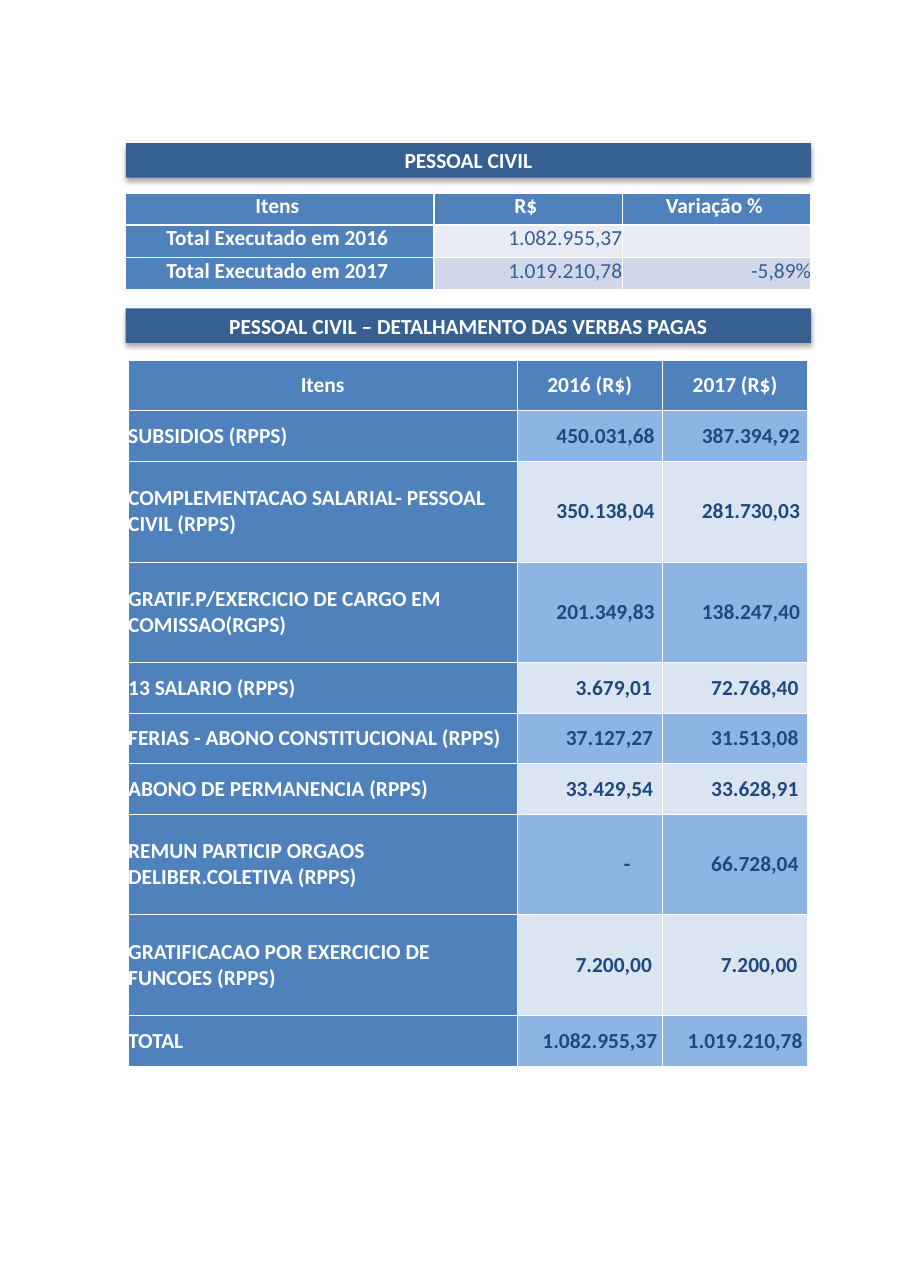
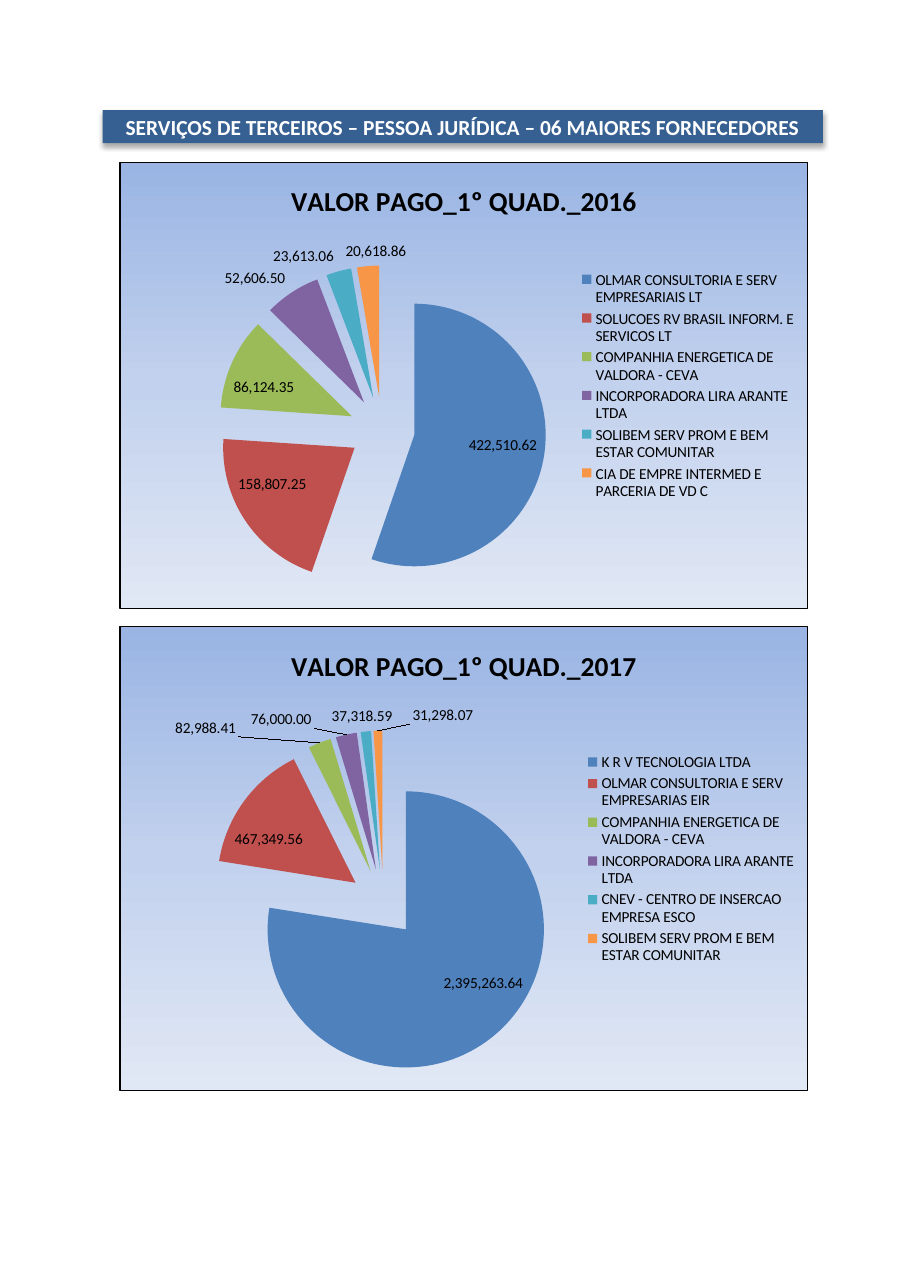
from dataclasses import dataclass
from typing import NamedTuple

from lxml.etree import SubElement
from pptx import Presentation
from pptx.chart.data import CategoryChartData
from pptx.dml.color import RGBColor
from pptx.enum.chart import XL_CHART_TYPE, XL_LABEL_POSITION, XL_LEGEND_POSITION
from pptx.enum.shapes import MSO_SHAPE
from pptx.enum.text import MSO_ANCHOR, MSO_AUTO_SIZE, PP_ALIGN
from pptx.oxml import parse_xml
from pptx.oxml.ns import nsdecls, qn
from pptx.util import Pt


@dataclass(frozen=True)
class Theme:
    font: str = "Calibri"
    text_size: float = 14
    chart_title_size: float = 18
    chart_text_size: float = 10
    white: str = "FFFFFF"
    black: str = "000000"
    band: str = "376092"
    summary_header: str = "4F81BC"
    detail_header: str = "4F81BD"
    summary_text: str = "365F91"
    detail_text: str = "1F497D"
    summary_rows: tuple = ("E9ECF4", "D0D7E8")
    detail_rows: tuple = ("8DB4E3", "DBE5F1")
    gradient: tuple = ((0, "9AB5E4"), (50, "C2D1ED"), (100, "E1E8F5"))
    slices: tuple = ("4F81BD", "C0504D", "9BBB59", "8064A2", "4BACC6", "F79646")


THEME = Theme()


class Box(NamedTuple):
    left: float
    top: float
    width: float
    height: float

    def lengths(self) -> list:
        return [Pt(side) for side in self]


class CellStyle(NamedTuple):
    fill: str
    color: str
    bold: bool
    align: PP_ALIGN
    anchor: MSO_ANCHOR
    right_margin: float = 0


class Edges(NamedTuple):
    """Border widths of one cell."""
    top: float
    bottom: float
    side: float


class Supplier(NamedTuple):
    name: str
    paid: float


class SupplierPie(NamedTuple):
    title: str
    box: Box
    suppliers: list


SUMMARY = [
    ("Itens", "R$", "Variação %"),
    ("Total Executado em 2016", "1.082.955,37", ""),
    ("Total Executado em 2017", "1.019.210,78", "-5,89%"),
]
DETAIL = [
    ("Itens", "2016 (R$)", "2017 (R$)"),
    ("SUBSIDIOS (RPPS)", "450.031,68", "387.394,92"),
    ("COMPLEMENTACAO SALARIAL- PESSOAL CIVIL (RPPS)", "350.138,04", "281.730,03"),
    ("GRATIF.P/EXERCICIO DE CARGO EM COMISSAO(RGPS)", "201.349,83", "138.247,40"),
    ("13 SALARIO (RPPS)", "3.679,01", "72.768,40"),
    ("FERIAS - ABONO CONSTITUCIONAL (RPPS)", "37.127,27", "31.513,08"),
    ("ABONO DE PERMANENCIA (RPPS)", "33.429,54", "33.628,91"),
    ("REMUN PARTICIP ORGAOS DELIBER.COLETIVA (RPPS)", "-", "66.728,04"),
    ("GRATIFICACAO POR EXERCICIO DE FUNCOES (RPPS)", "7.200,00", "7.200,00"),
    ("TOTAL", "1.082.955,37", "1.019.210,78"),
]
DETAIL_ROW = 32.95
TWO_LINE_ROWS = (2, 3, 7, 8)
# Right margin of an amount by its number of characters
AMOUNT_MARGINS = {1: 21, 8: 6.8, 9: 6, 10: 5, 12: 3.3}

PIES = [
    SupplierPie("VALOR PAGO_1º QUAD._2016", Box(78.1, 105.8, 450.3, 292.5), [
        Supplier("OLMAR CONSULTORIA E SERV EMPRESARIAIS LT", 422510.62),
        Supplier("SOLUCOES RV BRASIL INFORM. E SERVICOS LT", 158807.25),
        Supplier("COMPANHIA ENERGETICA DE VALDORA - CEVA", 86124.35),
        Supplier("INCORPORADORA LIRA ARANTE LTDA", 52606.5),
        Supplier("SOLIBEM SERV PROM E BEM ESTAR COMUNITAR", 23613.06),
        Supplier("CIA DE EMPRE INTERMED E PARCERIA DE VD C", 20618.86),
    ]),
    SupplierPie("VALOR PAGO_1º QUAD._2017", Box(78.1, 409.3, 450.3, 304), [
        Supplier("K R V TECNOLOGIA LTDA", 2395263.64),
        Supplier("OLMAR CONSULTORIA E SERV EMPRESARIAS EIR", 467349.56),
        Supplier("COMPANHIA ENERGETICA DE VALDORA - CEVA", 82988.41),
        Supplier("INCORPORADORA LIRA ARANTE LTDA", 76000),
        Supplier("CNEV - CENTRO DE INSERCAO EMPRESA ESCO", 37318.59),
        Supplier("SOLIBEM SERV PROM E BEM ESTAR COMUNITAR", 31298.07),
    ]),
]


def style_font(font, size: float, color: str, bold: bool = False) -> None:
    font.name = THEME.font
    font.size = Pt(size)
    font.bold = bold
    font.color.rgb = RGBColor.from_string(color)


def style_band(shape, text: str, box: Box) -> None:
    """Turn a title placeholder or a rectangle into a shadowed heading band."""
    shape.left, shape.top, shape.width, shape.height = box.lengths()
    shape.fill.solid()
    shape.fill.fore_color.rgb = RGBColor.from_string(THEME.band)
    shape.line.fill.background()
    shape.shadow.inherit = False
    effects = shape.element.spPr.find(qn("a:effectLst"))
    shadow = SubElement(effects, qn("a:outerShdw"), blurRad=str(Pt(3.5)),
                        dist=str(Pt(2.2)), dir="5400000", rotWithShape="0")
    shadow_color = SubElement(shadow, qn("a:srgbClr"), val=THEME.black)
    SubElement(shadow_color, qn("a:alpha"), val="32000")

    frame = shape.text_frame
    frame.text = text
    frame.word_wrap = True
    frame.auto_size = MSO_AUTO_SIZE.NONE
    frame.vertical_anchor = MSO_ANCHOR.MIDDLE
    frame.margin_top = frame.margin_bottom = 0
    heading = frame.paragraphs[0]
    heading.alignment = PP_ALIGN.CENTER
    style_font(heading.font, THEME.text_size, THEME.white, bold=True)


def add_titled_slide(deck, title: str, box: Box):
    slide = deck.slides.add_slide(deck.slide_layouts[5])
    style_band(slide.shapes.title, title, box)
    return slide


def set_borders(cell, edges: Edges) -> None:
    """Insert white borders ahead of the cell fill, as the schema requires."""
    widths = (("lnL", edges.side), ("lnR", edges.side),
              ("lnT", edges.top), ("lnB", edges.bottom))
    properties = cell._tc.get_or_add_tcPr()
    for position, (tag, width) in enumerate(widths):
        properties.insert(position, parse_xml(
            f'<a:{tag} {nsdecls("a")} w="{Pt(width)}"><a:solidFill>'
            f'<a:srgbClr val="{THEME.white}"/></a:solidFill></a:{tag}>'))


def summary_style(row: int, column: int, text: str) -> CellStyle:
    if row == 0 or column == 0:
        return CellStyle(THEME.summary_header, THEME.white, True, PP_ALIGN.CENTER,
                         MSO_ANCHOR.TOP, 3.2)
    return CellStyle(THEME.summary_rows[row - 1], THEME.summary_text, False,
                     PP_ALIGN.RIGHT, MSO_ANCHOR.TOP)


def detail_style(row: int, column: int, text: str) -> CellStyle:
    if row == 0 or column == 0:
        align = PP_ALIGN.CENTER if row == 0 else PP_ALIGN.LEFT
        return CellStyle(THEME.detail_header, THEME.white, True, align, MSO_ANCHOR.MIDDLE)
    return CellStyle(THEME.detail_rows[(row - 1) % 2], THEME.detail_text, True,
                     PP_ALIGN.RIGHT, MSO_ANCHOR.MIDDLE, AMOUNT_MARGINS[len(text)])


def summary_edges(row: int) -> Edges:
    return Edges(1.5 if row == 1 else 1, 1.5 if row == 0 else 1, 1)


def detail_edges(row: int) -> Edges:
    return Edges(0.5, 0.5, 0.5)


def add_grid(slide, left: float, top: float, rows: list, widths: list,
             heights: list, style_of, edges_of) -> None:
    box = Box(left, top, sum(widths), sum(heights))
    table = slide.shapes.add_table(len(rows), len(widths), *box.lengths()).table
    table.horz_banding = False
    for column, width in zip(table.columns, widths):
        column.width = Pt(width)
    for row, height in zip(table.rows, heights):
        row.height = Pt(height)
    for row_index, texts in enumerate(rows):
        for column_index, text in enumerate(texts):
            cell = table.cell(row_index, column_index)
            style = style_of(row_index, column_index, text)
            cell.text = text
            cell.margin_left = cell.margin_top = cell.margin_bottom = 0
            cell.margin_right = Pt(style.right_margin)
            cell.vertical_anchor = style.anchor
            cell.fill.solid()
            cell.fill.fore_color.rgb = RGBColor.from_string(style.fill)
            set_borders(cell, edges_of(row_index))
            paragraph = cell.text_frame.paragraphs[0]
            paragraph.alignment = style.align
            style_font(paragraph.font, THEME.text_size, style.color, style.bold)


def set_chart_background(chart) -> None:
    stops = "".join(f'<a:gs pos="{percent * 1000}"><a:srgbClr val="{color}"/></a:gs>'
                    for percent, color in THEME.gradient)
    background = parse_xml(
        f'<c:spPr {nsdecls("c", "a")}><a:gradFill><a:gsLst>{stops}</a:gsLst>'
        f'<a:lin ang="5400000" scaled="0"/></a:gradFill><a:ln w="{Pt(0.75)}">'
        f'<a:solidFill><a:srgbClr val="{THEME.black}"/></a:solidFill></a:ln></c:spPr>')
    chart.element.find(qn("c:chart")).addnext(background)


def add_supplier_pie(slide, pie: SupplierPie) -> None:
    data = CategoryChartData()
    data.categories = [supplier.name for supplier in pie.suppliers]
    data.add_series("Series 1", [supplier.paid for supplier in pie.suppliers])
    chart = slide.shapes.add_chart(XL_CHART_TYPE.PIE, *pie.box.lengths(), data).chart
    style_font(chart.font, THEME.chart_text_size, THEME.black)
    set_chart_background(chart)

    chart.has_title = True
    chart.chart_title.include_in_layout = False
    chart.chart_title.text_frame.text = pie.title
    style_font(chart.chart_title.text_frame.paragraphs[0].font,
               THEME.chart_title_size, THEME.black, bold=True)
    chart.has_legend = True
    chart.legend.position = XL_LEGEND_POSITION.RIGHT
    chart.legend.include_in_layout = False

    plot = chart.plots[0]
    plot.vary_by_categories = True
    payments = plot.series[0]
    payments._element.find(qn("c:tx")).addnext(
        parse_xml(f'<c:explosion {nsdecls("c")} val="25"/>'))
    for index, color in enumerate(THEME.slices):
        fill = payments.points[index].format.fill
        fill.solid()
        fill.fore_color.rgb = RGBColor.from_string(color)
    labels = payments.data_labels
    labels.show_value = True
    labels.number_format = '_-* #,##0.00_-;\\-* #,##0.00_-;_-* "-"??_'
    labels.number_format_is_linked = False
    labels.position = XL_LABEL_POSITION.BEST_FIT


def build_staff_slide(deck) -> None:
    slide = add_titled_slide(deck, "PESSOAL CIVIL", Box(82.2, 93.6, 448, 22.5))
    heading_box = Box(82.2, 201.6, 448, 22.5)
    heading = slide.shapes.add_shape(MSO_SHAPE.RECTANGLE, *heading_box.lengths())
    style_band(heading, "PESSOAL CIVIL – DETALHAMENTO DAS VERBAS PAGAS", heading_box)
    add_grid(slide, 82.2, 126.2, SUMMARY, [201.4, 123.3, 123.3], [20.8, 21.5, 20.8],
             summary_style, summary_edges)
    detail_heights = [DETAIL_ROW * (2 if row in TWO_LINE_ROWS else 1)
                      for row in range(len(DETAIL))]
    add_grid(slide, 83.8, 235.5, DETAIL, [254.2, 95, 95], detail_heights,
             detail_style, detail_edges)


def build_suppliers_slide(deck) -> None:
    slide = add_titled_slide(
        deck, "SERVIÇOS DE TERCEIROS – PESSOA JURÍDICA – 06 MAIORES FORNECEDORES",
        Box(67, 72, 470.8, 21.6))
    for pie in PIES:
        add_supplier_pie(slide, pie)


def main() -> None:
    deck = Presentation()
    deck.slide_width, deck.slide_height = Pt(595.44), Pt(841.68)
    build_staff_slide(deck)
    build_suppliers_slide(deck)
    deck.save("out.pptx")


if __name__ == "__main__":
    main()
